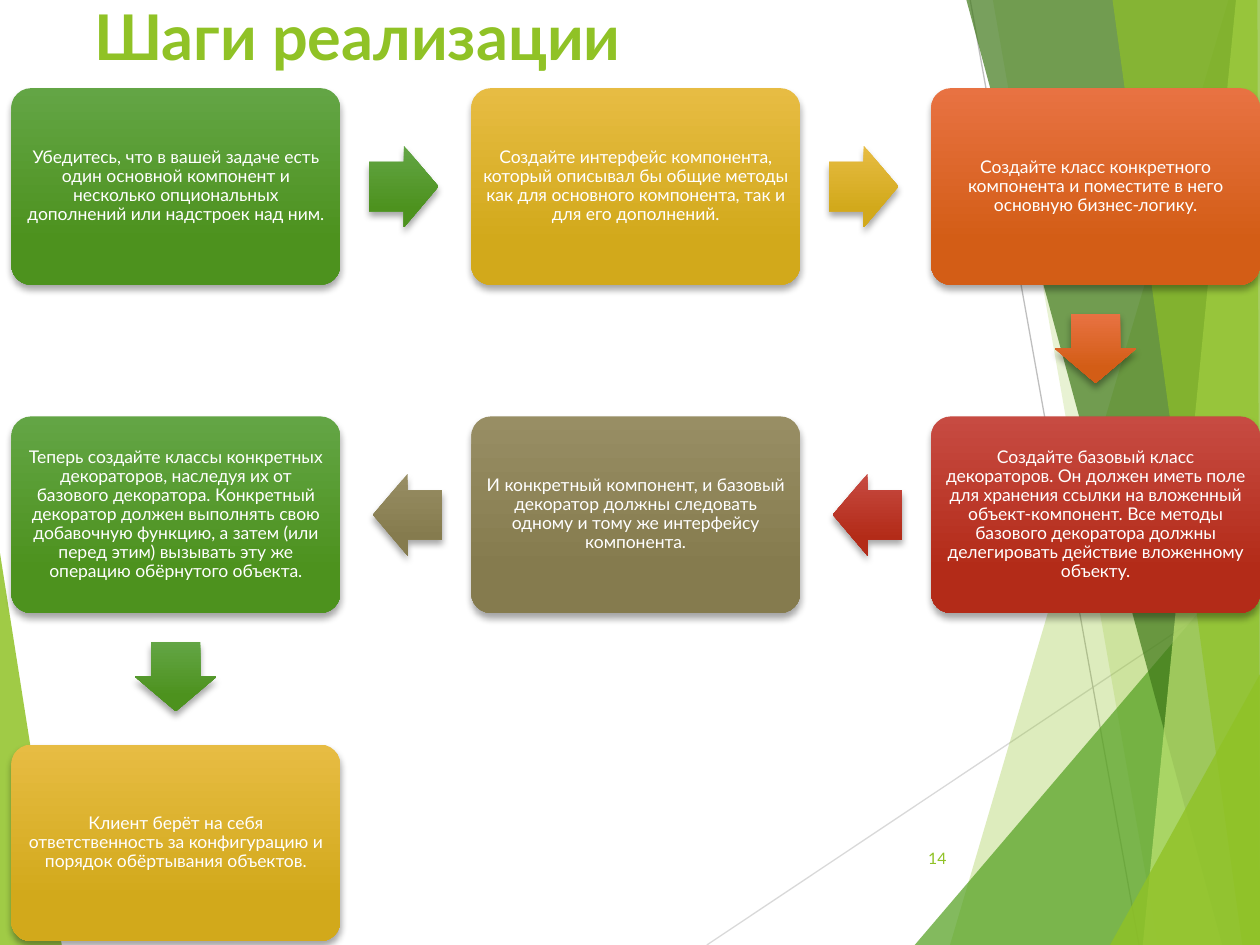
from lxml import etree
from pptx import Presentation
from pptx.dml.color import RGBColor
from pptx.enum.shapes import MSO_CONNECTOR, MSO_SHAPE
from pptx.enum.text import MSO_ANCHOR, PP_ALIGN
from pptx.oxml.ns import qn
from pptx.util import Inches, Pt

ROUNDED, ARROW = MSO_SHAPE.ROUNDED_RECTANGLE, MSO_SHAPE.RIGHT_ARROW
STRAIGHT = MSO_CONNECTOR.STRAIGHT
TOP, MIDDLE = MSO_ANCHOR.TOP, MSO_ANCHOR.MIDDLE
LEFT, CENTER, RIGHT = PP_ALIGN.LEFT, PP_ALIGN.CENTER, PP_ALIGN.RIGHT

FONT = "Lato"
COLORS = {
    "lime": "90C226", "leaf": "54A021", "forest": "3F7819", "pale": "C0E474",
    "light_line": "D9D9D9", "mid_line": "BFBFBF", "white": "FFFFFF", "shadow": "000000",
    "green_top": "63A545", "green_end": "4D921E",
    "yellow_top": "E7BC43", "yellow_end": "D2A91B",
    "orange_top": "E87242", "orange_end": "D35D16",
    "red_top": "C74B42", "red_end": "B32B18",
    "olive_top": "988E64", "olive_end": "857B4E",
}
RAYS = [
    ("lime", 30, [(9.75, 0), (7.54, 7.5), (10, 7.5), (10, 0)]),
    ("lime", 20, [(7.88, 0), (9.19, 7.5), (10, 7.5), (10, 0)]),
    ("leaf", 72, [(7.26, 7.5), (10, 4.29), (10, 7.5)]),
    ("forest", 70, [(7.67, 0), (9.7, 7.5), (10, 7.5), (10, 0)]),
    ("pale", 70, [(9.81, 0), (9.07, 7.5), (10, 7.5), (10, 0)]),
    ("lime", 65, [(8.83, 0), (9.86, 7.5), (10, 7.5), (9.98, 0)]),
    ("lime", 80, [(8.81, 7.5), (10, 5.35), (10, 7.5)]),
]
STEPS = [
    ("green", "Убедитесь, что в вашей задаче есть один основной компонент и несколько "
              "опциональных дополнений или надстроек над ним."),
    ("yellow", "Создайте интерфейс компонента, который описывал бы общие методы как для "
               "основного компонента, так и для его дополнений."),
    ("orange", "Создайте класс конкретного компонента и поместите в него основную "
               "бизнес-логику."),
    ("red", "Создайте базовый класс декораторов. Он должен иметь поле для хранения ссылки "
            "на вложенный объект-компонент. Все методы базового декоратора должны "
            "делегировать действие вложенному объекту."),
    ("olive", "И конкретный компонент, и базовый декоратор должны следовать одному и тому "
              "же интерфейсу компонента."),
    ("green", "Теперь создайте классы конкретных декораторов, наследуя их от базового "
              "декоратора. Конкретный декоратор должен выполнять свою добавочную функцию, "
              "а затем (или перед этим) вызывать эту же операцию обёрнутого объекта."),
    ("yellow", "Клиент берёт на себя ответственность за конфигурацию и порядок "
               "обёртывания объектов."),
]
COLUMNS = 3
STEP_W, STEP_H = 2.61, 1.56
ARROW_W, ARROW_H, ARROW_GAP = 0.55, 0.65, 0.23


def rgb(name):
    """Return the named colour."""
    return RGBColor.from_string(COLORS[name])


def write(shape, text, size=10, color="white", bold=False, align=LEFT, anchor=TOP,
          inset=None, spacing=None):
    """Put formatted text into a shape."""
    frame = shape.text_frame
    frame.word_wrap = True
    frame.vertical_anchor = anchor
    if inset is not None:
        frame.margin_left = frame.margin_right = Inches(inset)
        frame.margin_top = frame.margin_bottom = Inches(inset)
    paragraph = frame.paragraphs[0]
    paragraph.alignment = align
    paragraph.line_spacing = spacing
    run = paragraph.add_run()
    run.text = text
    run.font.name = FONT
    run.font.size = Pt(size)
    run.font.bold = bold
    run.font.color.rgb = rgb(color)


def add_label(slide, box, text, **style):
    """Add a text box that fills the given box."""
    write(slide.shapes.add_textbox(*map(Inches, box)), text, **style)


def add_ray(slide, color, opacity, points):
    """Draw one translucent polygon."""
    corners = [(Inches(x), Inches(y)) for x, y in points]
    builder = slide.shapes.build_freeform(*corners[0])
    builder.add_line_segments(corners[1:], close=True)
    ray = builder.convert_to_shape()
    ray.shadow.inherit = False
    ray.line.fill.background()
    ray.fill.solid()
    ray.fill.fore_color.rgb = rgb(color)
    tint = ray.fill._xPr.find(".//" + qn("a:srgbClr"))
    etree.SubElement(tint, qn("a:alpha"), val=str(opacity * 1000))


def add_hairline(slide, start, end, color):
    """Draw a thin background line."""
    line = slide.shapes.add_connector(STRAIGHT, *map(Inches, start + end))
    line.line.color.rgb = rgb(color)
    line.line.width = Pt(0.75)
    etree.SubElement(line._element.spPr, qn("a:effectLst"))


def add_backdrop(slide, width, height):
    """Draw the faceted rays and lines behind the content."""
    add_ray(slide, "lime", 85, [(0, 4.39), (0.49, height), (0, height)])
    add_hairline(slide, (5.61, height), (width, 4.57), "light_line")
    add_hairline(slide, (7.7, 0), (9.04, height), "mid_line")
    for color, opacity, points in RAYS:
        add_ray(slide, color, opacity, points)


def add_glossy(slide, preset, box, hue, adjustments, rotation=0):
    """Add a shape with an upright gradient and a soft shadow below."""
    shape = slide.shapes.add_shape(preset, *map(Inches, box))
    for index, value in enumerate(adjustments):
        shape.adjustments[index] = value
    shape.rotation = rotation
    shape.line.fill.background()
    shape.fill.gradient()
    shape.fill.gradient_angle = 270
    for stop, position, end in zip(shape.fill.gradient_stops, (0, 0.78), ("top", "end")):
        stop.position = position
        stop.color.rgb = rgb(f"{hue}_{end}")
    properties = shape._element.spPr
    properties.find(qn("a:gradFill")).set("rotWithShape", "0")
    shape.shadow.inherit = False
    shadow = etree.SubElement(properties.find(qn("a:effectLst")), qn("a:outerShdw"),
                              blurRad=str(Pt(4)), dist=str(Pt(3)), dir="5400000",
                              rotWithShape="0")
    tint = etree.SubElement(shadow, qn("a:srgbClr"), val=COLORS["shadow"])
    etree.SubElement(tint, qn("a:alpha"), val="35000")
    return shape


def add_arrow(slide, step_box, hue, direction):
    """Place an arrow just outside a step, pointing to the next one."""
    left, top, width, height = step_box
    dx, dy = direction
    reach = ARROW_GAP + ARROW_W / 2
    center_x = left + width / 2 + dx * (width / 2 + reach)
    center_y = top + height / 2 + dy * (height / 2 + reach)
    box = (center_x - ARROW_W / 2, center_y - ARROW_H / 2, ARROW_W, ARROW_H)
    rotation = 90 if dy else 0 if dx > 0 else 180
    add_glossy(slide, ARROW, box, hue, (0.6, 0.5), rotation)


def add_flow(slide, box):
    """Lay the steps out as a snake of rows inside the box."""
    left, top, width, height = box
    rows = -(-len(STEPS) // COLUMNS)
    pitch_x = (width - STEP_W) / (COLUMNS - 1)
    pitch_y = (height - STEP_H) / (rows - 1)
    for index, (hue, text) in enumerate(STEPS):
        row, place = divmod(index, COLUMNS)
        heading = -1 if row % 2 else 1
        column = place if heading > 0 else COLUMNS - 1 - place
        step_box = (left + column * pitch_x, top + row * pitch_y, STEP_W, STEP_H)
        step = add_glossy(slide, ROUNDED, step_box, hue, (0.1,))
        write(step, text, align=CENTER, anchor=MIDDLE, inset=0.04, spacing=0.9)
        if index < len(STEPS) - 1:
            direction = (0, 1) if place == COLUMNS - 1 else (heading, 0)
            add_arrow(slide, step_box, hue, direction)


def main():
    """Build the slide and save it."""
    deck = Presentation()
    deck.slide_width, deck.slide_height = Inches(10), Inches(7.5)
    slide = deck.slides.add_slide(deck.slide_layouts[6])
    add_backdrop(slide, 10, 7.5)
    add_label(slide, (0.65, -0.07, 6.94, 1.44), "Шаги реализации",
              size=36, color="lime", bold=True)
    add_label(slide, (7.05, 6.61, 0.56, 0.4), "14",
              size=9, color="lime", align=RIGHT, anchor=MIDDLE)
    add_flow(slide, (0.09, 0.7, 9.91, 6.77))
    deck.save("out.pptx")


if __name__ == "__main__":
    main()
